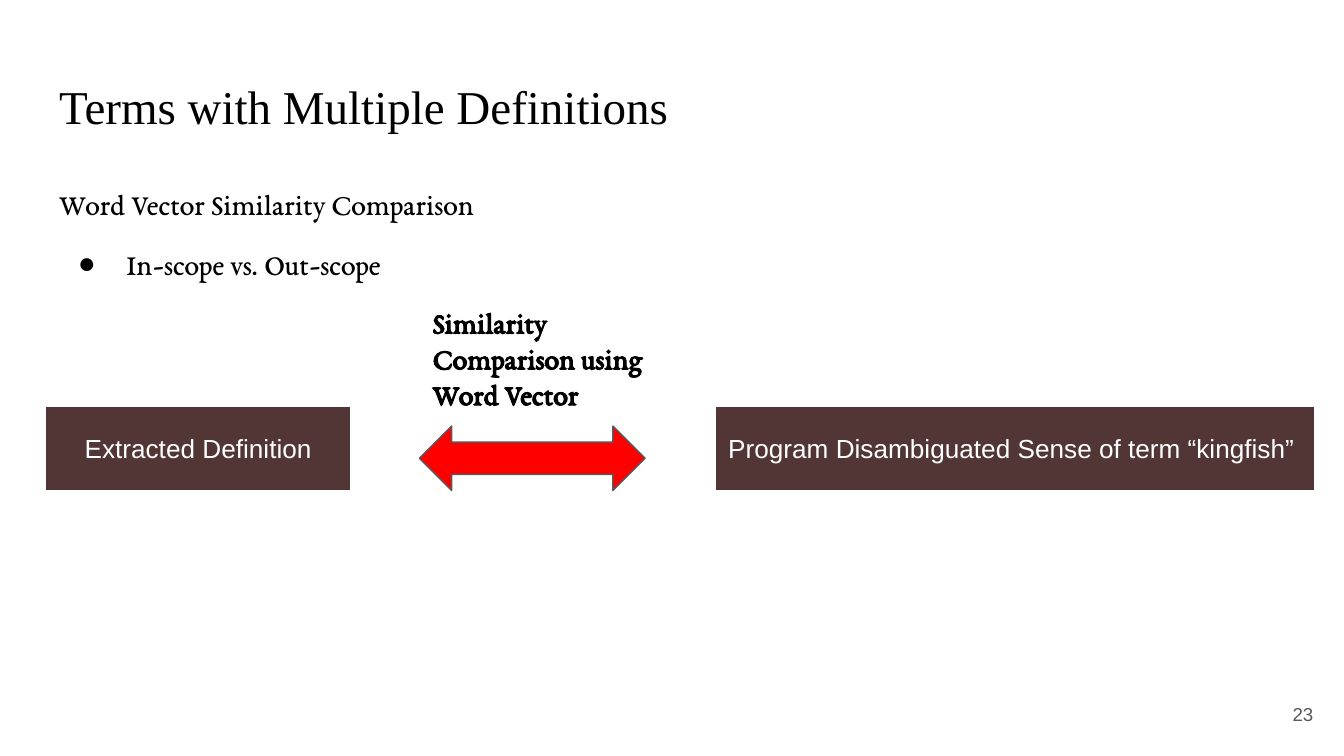
from lxml import etree
from pptx import Presentation
from pptx.dml.color import RGBColor
from pptx.enum.shapes import MSO_SHAPE
from pptx.enum.text import MSO_ANCHOR, MSO_AUTO_SIZE, PP_ALIGN
from pptx.oxml.ns import qn
from pptx.util import Inches, Pt

RECT, ARROW = MSO_SHAPE.RECTANGLE, MSO_SHAPE.LEFT_RIGHT_ARROW
TOP, MIDDLE = MSO_ANCHOR.TOP, MSO_ANCHOR.MIDDLE
LEFT, CENTER, RIGHT = PP_ALIGN.LEFT, PP_ALIGN.CENTER, PP_ALIGN.RIGHT
FIXED = MSO_AUTO_SIZE.NONE

COLORS = {
    "black": "000000",
    "white": "FFFFFF",
    "brown": "523636",
    "red": "FF0000",
    "gray": "595959",
}
SERIF, SANS, TITLE = "EB Garamond", "Arial", "Times New Roman"
MARGIN = 0.34
WIDTH = 9.32
ROW_TOP, ROW_HIGH = 3.02, 0.63


def rgb(name):
    return RGBColor.from_string(COLORS[name])


def place(shape, left, top, width, height):
    shape.left, shape.top = Inches(left), Inches(top)
    shape.width, shape.height = Inches(width), Inches(height)


def write(shape, lines, font, size, color, align=LEFT, anchor=TOP, bold=False):
    frame = shape.text_frame
    frame.text = "\n".join(lines)
    frame.word_wrap = True
    frame.auto_size = FIXED
    frame.vertical_anchor = anchor
    frame.margin_left = frame.margin_right = Inches(0.1)
    frame.margin_top = frame.margin_bottom = Inches(0.1)
    for para in frame.paragraphs:
        para.alignment = align
        para.space_before = Pt(0)
        for run in para.runs:
            run.font.name = font
            run.font.size = Pt(size)
            run.font.bold = bold
            run.font.color.rgb = rgb(color)


def set_bullet(para, char=None, left=0, hang=0):
    """Give the paragraph a bullet, or none when char is not set."""
    props = para._p.get_or_add_pPr()
    props.set("marL", str(Inches(left)))
    props.set("indent", str(-Inches(hang)))
    if char is None:
        etree.SubElement(props, qn("a:buNone"))
        return
    tint = etree.SubElement(props, qn("a:buClr"))
    etree.SubElement(tint, qn("a:srgbClr"), val=COLORS["black"])
    etree.SubElement(props, qn("a:buFont"), typeface=SANS)
    etree.SubElement(props, qn("a:buChar"), char=char)


def add_shape(slide, kind, box, fill, line):
    shape = slide.shapes.add_shape(kind, *map(Inches, box))
    shape.shadow.inherit = False
    shape.fill.solid()
    shape.fill.fore_color.rgb = rgb(fill)
    shape.line.color.rgb = rgb(line)
    shape.line.width = Pt(0.75)
    return shape


def add_label(slide, left, width, text, align):
    box = (left, ROW_TOP, width, ROW_HIGH)
    shape = add_shape(slide, RECT, box, "brown", "white")
    write(shape, [text], SANS, 14, "white", align, MIDDLE)


def add_text(slide, box, text, *style, **more):
    shape = slide.shapes.add_textbox(*map(Inches, box))
    write(shape, [text], *style, **more)


def fill_title(slide):
    title = slide.shapes.title
    place(title, MARGIN, 0.48, WIDTH, 0.63)
    write(title, ["Terms with Multiple Definitions"], TITLE, 25.2, "black")


def fill_body(slide):
    body = slide.placeholders[1]
    place(body, MARGIN, 1.24, WIDTH, 3.74)
    lines = ["Word Vector Similarity Comparison", "In-scope vs. Out-scope"]
    write(body, lines, SERIF, 16, "black")
    head, item = body.text_frame.paragraphs
    set_bullet(head)
    set_bullet(item, "●", 0.5, 0.36)
    head.line_spacing = item.line_spacing = 1.15
    item.space_before = Pt(10)


def main():
    deck = Presentation()
    deck.slide_width = Inches(10)
    deck.slide_height = deck.slide_width * 9 // 16
    slide = deck.slides.add_slide(deck.slide_layouts[1])
    fill_title(slide)
    fill_body(slide)
    add_text(slide, (9.27, 5.1, 0.6, 0.43), "23", SANS, 10, "gray",
             align=RIGHT, anchor=MIDDLE)
    add_label(slide, 5.32, 4.46,
              "Program Disambiguated Sense of term “kingfish”", LEFT)
    add_label(slide, MARGIN, 2.27, "Extracted Definition", CENTER)
    add_shape(slide, ARROW, (3.12, 3.17, 1.68, 0.48), "red", "gray")
    add_text(slide, (3.12, 2.16, 2.02, 1.01),
             "Similarity Comparison using Word Vector", SERIF, 16, "black",
             bold=True)
    deck.save("out.pptx")


if __name__ == "__main__":
    main()
